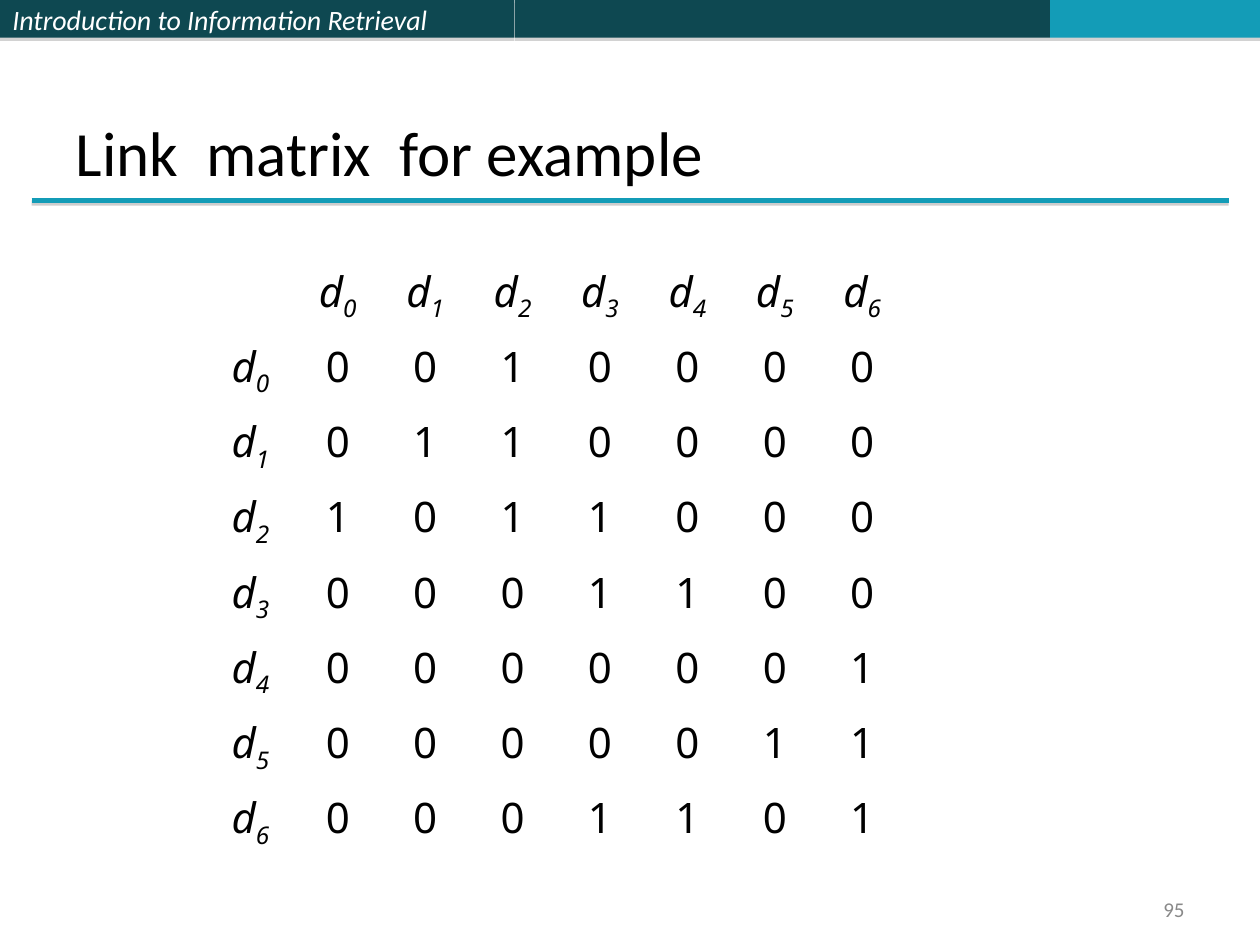
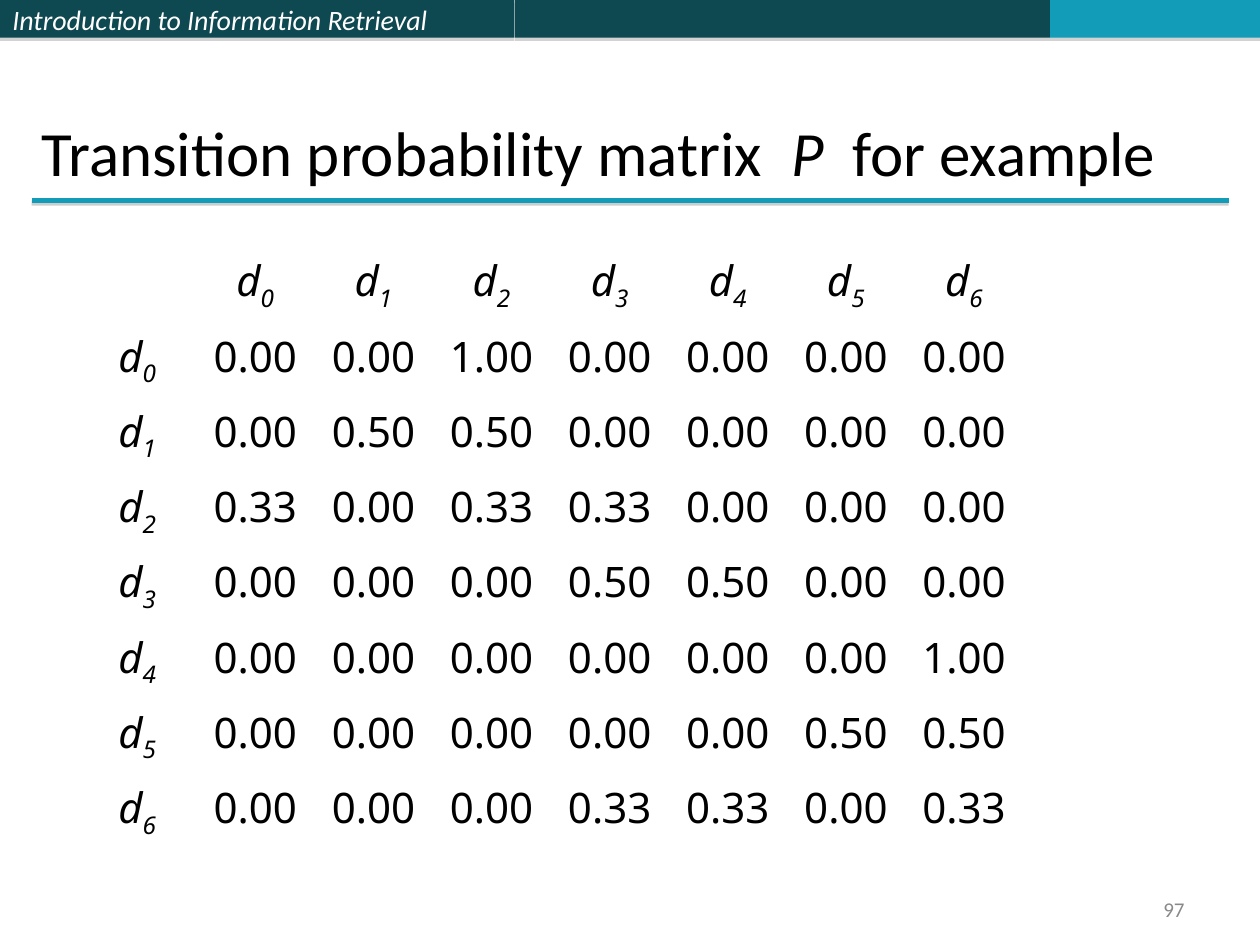
from dataclasses import dataclass

from lxml import etree
from pptx import Presentation
from pptx import util as u
from pptx.dml.color import RGBColor
from pptx.enum import shapes, text
from pptx.oxml.ns import qn

COURSE = "Introduction to Information Retrieval"
LINKS = [
    [0, 0, 1, 0, 0, 0, 0],
    [0, 1, 1, 0, 0, 0, 0],
    [1, 0, 1, 1, 0, 0, 0],
    [0, 0, 0, 1, 1, 0, 0],
    [0, 0, 0, 0, 0, 0, 1],
    [0, 0, 0, 0, 0, 1, 1],
    [0, 0, 0, 1, 1, 0, 1],
]
TRANSITIONS = [[f"{link / sum(row):.2f}" for link in row] for row in LINKS]

SLIDES = [
    {
        "title": [("Link  matrix  for example", False)],
        "title_box": (0.5, 0.02, 9, 1.53),
        "matrix": LINKS,
        "matrix_box": (1.64, 2.03, 5.55, 4.78),
        "number": 95,
    },
    {
        "title": [
            ("Transition probability matrix  ", False),
            ("P ", True),
            (" for example", False),
        ],
        "title_box": (0.23, 0.02, 9.61, 1.53),
        "matrix": TRANSITIONS,
        "matrix_box": (0.62, 1.95, 7.5, 4.78),
        "number": 97,
    },
]


@dataclass(frozen=True)
class Theme:
    dark: str = "0E4851"
    accent: str = "139CB7"
    white: str = "FFFFFF"
    black: str = "000000"
    grey: str = "898989"
    shadow: str = "808080"
    body_font: str = "Calibri"
    matrix_font: str = "Noto Sans"
    title_size: int = 36
    matrix_size: int = 24
    header_size: int = 16
    number_size: int = 12


THEME = Theme()
SLIDE_SIZE = (10, 7.5)
BAND_HEIGHT = 0.3
ACCENT_LEFT = SLIDE_SIZE[0] * 5 / 6
BANDS = [
    (0, 4.08, THEME.dark, COURSE),
    (ACCENT_LEFT - 4.25, 4.25, THEME.dark, ""),
    (ACCENT_LEFT, SLIDE_SIZE[0] - ACCENT_LEFT, THEME.accent, ""),
]


def inches(values):
    return [u.Inches(value) for value in values]


def add_run(paragraph, words, size, color, font=THEME.body_font, italic=False):
    run = paragraph.add_run()
    run.text = words
    run.font.name = font
    run.font.size = u.Pt(size)
    run.font.italic = italic
    run.font.color.rgb = RGBColor.from_string(color)
    return run


def add_shadow(shape, distance, opacity):
    properties = shape._element.spPr
    effects = properties.find(qn("a:effectLst"))
    if effects is None:
        effects = etree.SubElement(properties, qn("a:effectLst"))
    shadow = etree.SubElement(
        effects, qn("a:outerShdw"), dist=str(u.Pt(distance)), dir="5400000", rotWithShape="0"
    )
    color = etree.SubElement(shadow, qn("a:srgbClr"), val=THEME.shadow)
    etree.SubElement(color, qn("a:alpha"), val=str(opacity * 1000))


def add_header(slide):
    for left, width, color, words in BANDS:
        band = slide.shapes.add_shape(
            shapes.MSO_SHAPE.RECTANGLE, *inches((left, 0, width, BAND_HEIGHT))
        )
        band.shadow.inherit = False
        band.fill.solid()
        band.fill.fore_color.rgb = RGBColor.from_string(color)
        band.line.fill.background()
        add_shadow(band, 1.8, 35)
        if words:
            band.text_frame.vertical_anchor = text.MSO_ANCHOR.MIDDLE
            paragraph = band.text_frame.paragraphs[0]
            paragraph.alignment = text.PP_ALIGN.LEFT
            add_run(paragraph, words, THEME.header_size, THEME.white, italic=True)


def add_title_rule(slide):
    rule = slide.shapes.add_connector(
        shapes.MSO_CONNECTOR.STRAIGHT, *inches((0.25, 1.59, 9.75, 1.59))
    )
    rule.line.color.rgb = RGBColor.from_string(THEME.accent)
    rule.line.width = u.Pt(3)
    add_shadow(rule, 1.6, 38)


def set_title(slide, pieces, box):
    title = slide.shapes.title
    title.left, title.top, title.width, title.height = inches(box)
    frame = title.text_frame
    frame.auto_size = text.MSO_AUTO_SIZE.NONE
    frame.vertical_anchor = text.MSO_ANCHOR.BOTTOM
    paragraph = frame.paragraphs[0]
    paragraph.alignment = text.PP_ALIGN.LEFT
    for words, italic in pieces:
        add_run(paragraph, words, THEME.title_size, THEME.black, italic=italic)


def add_number(slide, number):
    frame = slide.shapes.add_textbox(*inches((7.17, 7.08, 2.33, 0.27))).text_frame
    frame.word_wrap = True
    frame.vertical_anchor = text.MSO_ANCHOR.MIDDLE
    paragraph = frame.paragraphs[0]
    paragraph.alignment = text.PP_ALIGN.RIGHT
    add_run(paragraph, str(number), THEME.number_size, THEME.grey)


def add_matrix_run(cell, words, italic=False):
    paragraph = cell.text_frame.paragraphs[0]
    paragraph.alignment = text.PP_ALIGN.CENTER
    return add_run(
        paragraph, words, THEME.matrix_size, THEME.black, THEME.matrix_font, italic
    )


def add_document_label(cell, index):
    add_matrix_run(cell, "d", italic=True)
    subscript = add_matrix_run(cell, str(index), italic=True)
    subscript._r.get_or_add_rPr().set("baseline", "-25000")


def add_matrix(slide, matrix, box):
    count = len(matrix) + 1
    table = slide.shapes.add_table(count, count, *inches(box)).table
    table.first_row = table.horz_banding = False
    for cell in table.iter_cells():
        cell.fill.background()
    for index, values in enumerate(matrix):
        add_document_label(table.cell(0, index + 1), index)
        add_document_label(table.cell(index + 1, 0), index)
        for column, value in enumerate(values, start=1):
            add_matrix_run(table.cell(index + 1, column), str(value))


def main():
    presentation = Presentation()
    presentation.slide_width, presentation.slide_height = inches(SLIDE_SIZE)
    title_only = presentation.slide_layouts[5]
    for content in SLIDES:
        slide = presentation.slides.add_slide(title_only)
        add_header(slide)
        add_title_rule(slide)
        add_number(slide, content["number"])
        set_title(slide, content["title"], content["title_box"])
        add_matrix(slide, content["matrix"], content["matrix_box"])
    presentation.save("out.pptx")


if __name__ == "__main__":
    main()
